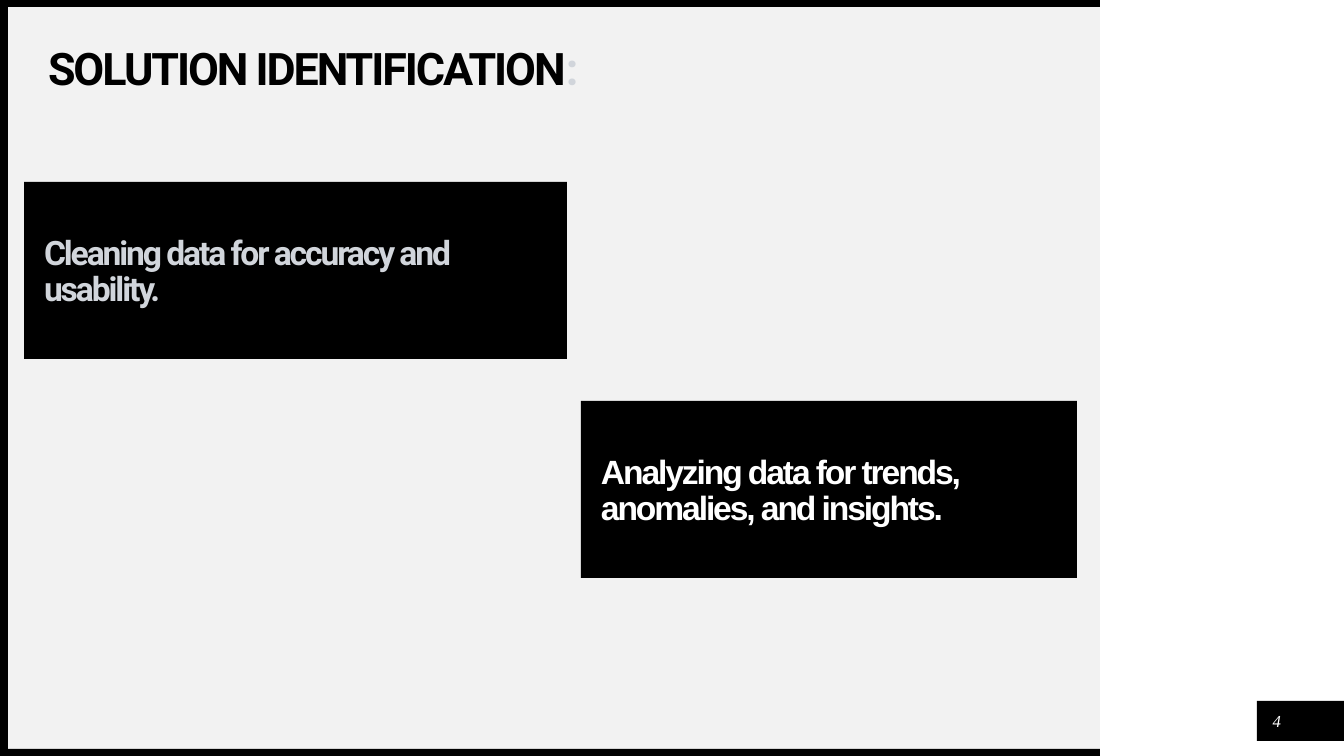
import pptx
import pptx.util
import pptx.dml.color
import pptx.enum.shapes
import pptx.enum.text

RGB = pptx.dml.color.RGBColor
ALIGN = pptx.enum.text.PP_ALIGN
ANCHOR = pptx.enum.text.MSO_ANCHOR
BLACK = RGB(0x00, 0x00, 0x00)
WHITE = RGB(0xFF, 0xFF, 0xFF)
PANEL = RGB(0xF2, 0xF2, 0xF2)
SILVER = RGB(0xD1, 0xD5, 0xDB)
SCALE = 914400 / 100.8
WIDE, HIGH, EDGE = 1344, 756, 7


def px(num):
    """Turn pixels into EMU."""
    return pptx.util.Emu(round(num * SCALE))


def rect(slide, box, fill):
    """Draw a plain filled rectangle."""
    shape = slide.shapes.add_shape(
        pptx.enum.shapes.MSO_SHAPE.RECTANGLE, *map(px, box))
    shape.shadow.inherit = False
    shape.fill.solid()
    shape.fill.fore_color.rgb = fill
    shape.line.fill.background()
    return shape


def label(slide, box, runs, font, size, fill=None, bold=True, italic=False,
          track=0, align=ALIGN.LEFT, inset=(0, 0), space=1.0, before=0):
    """Write (words, colour) runs in a box, filled if asked."""
    if fill is None:
        shape = slide.shapes.add_textbox(*map(px, box))
    else:
        shape = rect(slide, box, fill)
    frame = shape.text_frame
    frame.word_wrap = True
    frame.vertical_anchor = ANCHOR.MIDDLE
    frame.margin_left, frame.margin_top = map(px, inset)
    frame.margin_right = frame.margin_bottom = 0
    para = frame.paragraphs[0]
    para.alignment = align
    para.line_spacing = space
    para.space_before = pptx.util.Pt(before)
    for words, color in runs:
        run = para.add_run()
        run.text = words
        run.font.name = font
        run.font.size = pptx.util.Pt(size)
        run.font.bold = bold
        run.font.italic = italic
        run.font.color.rgb = color
        run.font._element.set("spc", str(round(track * 100)))


def panel(slide, box):
    """Draw the pale main panel with black edges on three sides."""
    left, top, width, height = box
    rect(slide, (left + EDGE + 1, top + EDGE, width - EDGE - 1,
                 height - 2 * EDGE), PANEL)
    for edge_top in (top, top + height - EDGE):
        rect(slide, (left, edge_top, width, EDGE), BLACK)
    rect(slide, (left, top, EDGE + 1, height), BLACK)


def title(slide, box):
    """Write the slide title."""
    label(slide, box, [("SOLUTION IDENTIFICATION", BLACK), (":", SILVER)],
          "Roboto", 32, track=-1.5, space=0.9)


def card(slide, box, words, font, color):
    """Draw a black card with one statement."""
    label(slide, box, [(words, color)], font, 24, fill=BLACK, track=-1.5,
          inset=(20, 4), space=0.9, before=10)


def footer(slide, box):
    """Place the page number on its black tab."""
    left, top, width, height = box
    rect(slide, box, BLACK)
    label(slide, (left + 5, top + 5, 30, 30), [("4", WHITE)],
          "Times New Roman", 12, bold=False, italic=True, align=ALIGN.CENTER)


def build():
    """Build the slide and save it."""
    deck = pptx.Presentation()
    deck.slide_width, deck.slide_height = px(WIDE), px(HIGH)
    slide = deck.slides.add_slide(deck.slide_layouts[6])
    panel(slide, (0, 0, 1100, HIGH))
    title(slide, (48, 48, 1014, 47))
    card(slide, (24, 182, 543, 177),
         "Cleaning data for accuracy and usability.", "Roboto", SILVER)
    card(slide, (581, 401, 496, 177),
         "Analyzing data for trends, anomalies, and insights.", "Arial", WHITE)
    footer(slide, (1257, 701, 87, 40))
    deck.save("out.pptx")


build()
